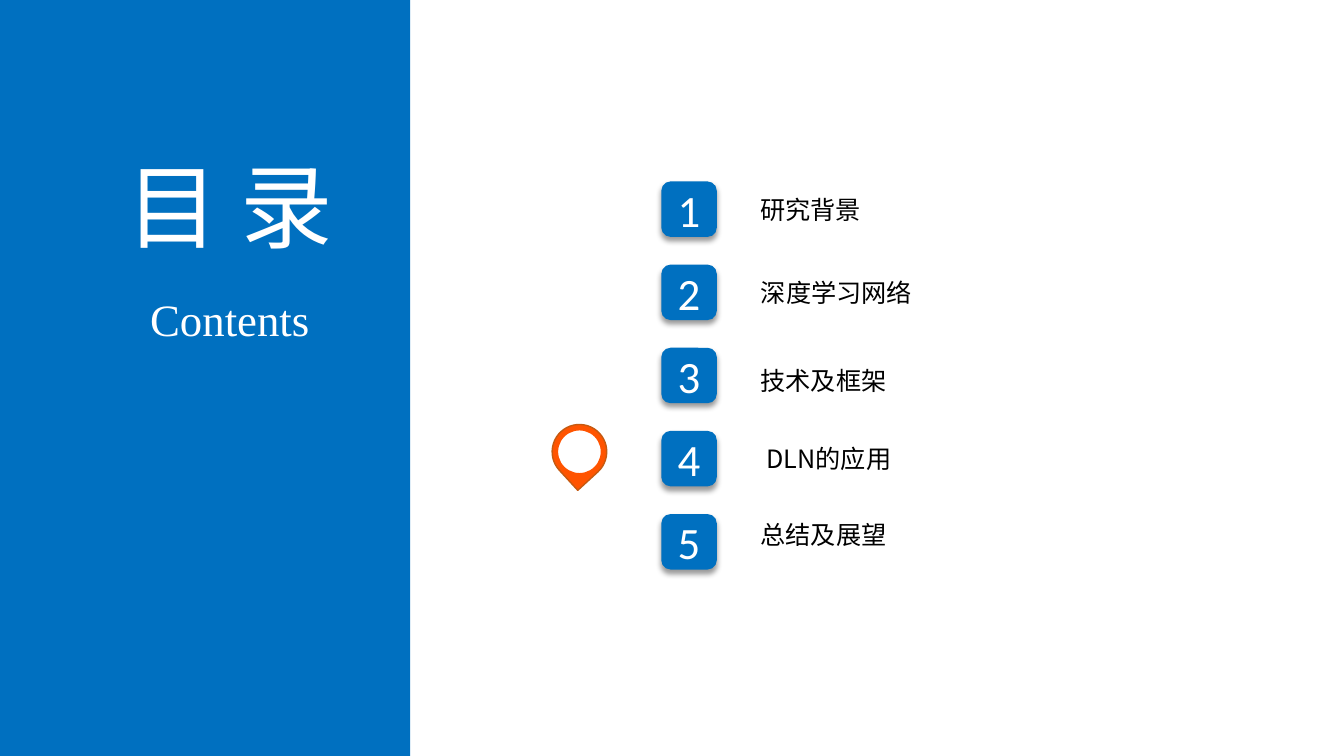
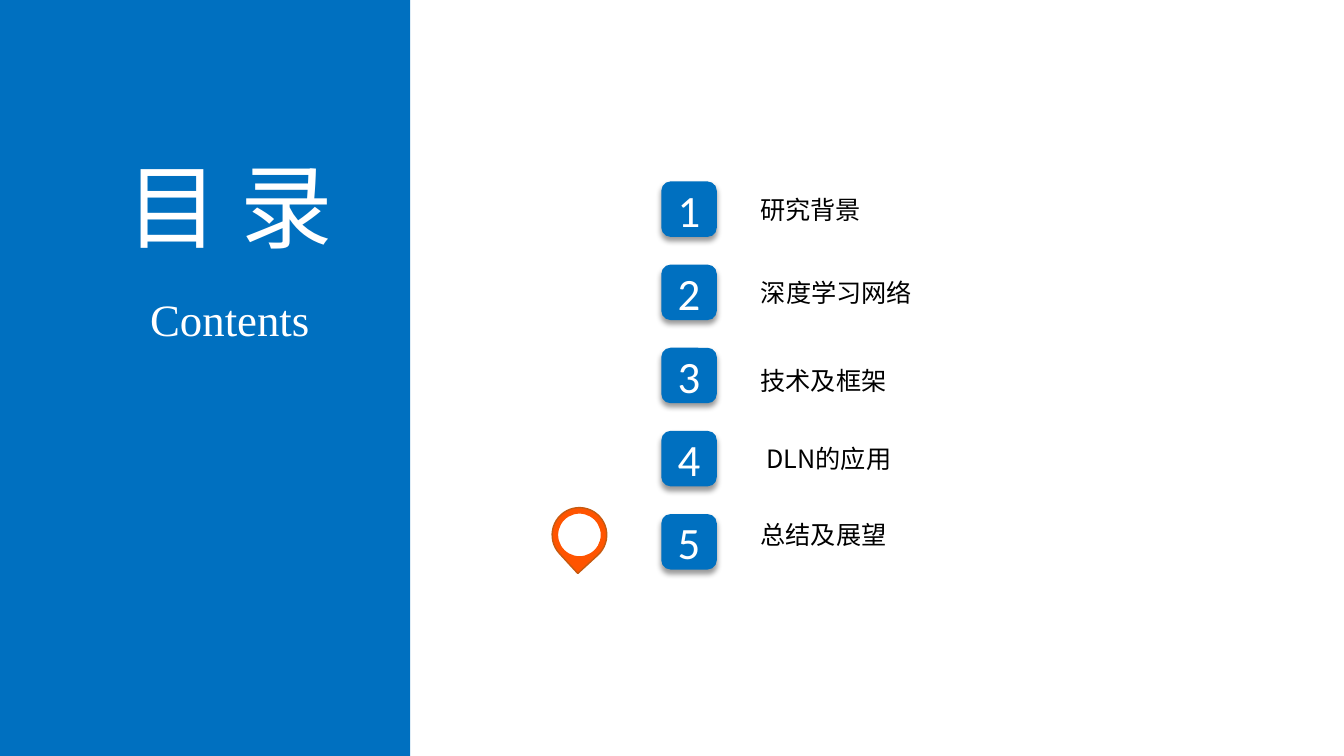
"""Build two contents pages, each with a pin beside the current section."""
from dataclasses import dataclass

from lxml.etree import SubElement
from pptx import Presentation
from pptx.dml.color import RGBColor as Color
from pptx.enum.shapes import MSO_SHAPE as Shape
from pptx.enum.text import MSO_ANCHOR as Anchor, MSO_AUTO_SIZE as AutoSize, PP_ALIGN as Align
from pptx.oxml.ns import qn
from pptx.util import Pt


@dataclass(frozen=True)
class Theme:
    """Colours, fonts and type sizes shared by the pages."""
    blue: str = "0070C0"
    orange: str = "FF5400"
    rust: str = "C55A11"
    white: str = "FFFFFF"
    black: str = "000000"
    chinese: str = "Noto Sans CJK SC"
    digits: str = "Calibri"
    serif: str = "Times New Roman"
    title_size: int = 66
    large_size: int = 32
    label_size: int = 18


THEME = Theme()
PAGE_WIDTH, PAGE_HEIGHT = 960, 540
BAND_WIDTH = 293
BADGE_LEFT, BADGE_TOP, BADGE_SIZE, BADGE_STEP = 472.4, 129.6, 39.6, 59.4
LABEL_LEFT, LABEL_HEIGHT = 535.8, 29
PIN_LEFT, PIN_RISE, PIN_SIZE, PIN_HOLE = 394.4, 4.6, 39, 31.4
SECTIONS = [
    ("研究背景", 135.2, 86.4),
    ("深度学习网络", 194.6, 123.6),
    ("技术及框架", 257.2, 105),
    ("DLN的应用", 313.2, 112.4),
    ("总结及展望", 367.4, 105),
]


def add_span(para, text, font, size, color):
    """Add one centred run in the given type style."""
    para.alignment = Align.CENTER
    span = para.add_run()
    span.text = text
    span.font.name = font
    span.font.size = Pt(size)
    span.font.color.rgb = Color.from_string(color)
    SubElement(span.font._element, qn("a:ea"), typeface=font)


def add_text(page, frame, text, font, size, color):
    """Add a one-line text box that fits its text."""
    box = page.shapes.add_textbox(*map(Pt, frame))
    box.text_frame.word_wrap = False
    box.text_frame.auto_size = AutoSize.SHAPE_TO_FIT_TEXT
    add_span(box.text_frame.paragraphs[0], text, font, size, color)


def add_form(parent, kind, frame, fill, line=None):
    """Add a flat preset shape with an optional outline."""
    form = parent.shapes.add_shape(kind, *map(Pt, frame))
    form.fill.solid()
    form.fill.fore_color.rgb = Color.from_string(fill)
    if line:
        form.line.color.rgb = Color.from_string(line)
        form.line.width = Pt(1)
    else:
        form.line.fill.background()
    form.shadow.inherit = False
    return form


def add_drop_shadow(form):
    """Put a soft shadow below a shape."""
    effects = form._element.spPr.find(qn("a:effectLst"))
    shadow = SubElement(effects, qn("a:outerShdw"), blurRad=str(Pt(4)), dist=str(Pt(3)),
                        dir="5400000", algn="t", rotWithShape="0")
    color = SubElement(shadow, qn("a:srgbClr"), val=THEME.black)
    SubElement(color, qn("a:alpha"), val="40000")


def badge_top(index):
    """Return the top of the badge in a given row."""
    return BADGE_TOP + index * BADGE_STEP


def add_badge(page, index):
    """Add the numbered badge of a section."""
    frame = (BADGE_LEFT, badge_top(index), BADGE_SIZE, BADGE_SIZE)
    badge = add_form(page, Shape.ROUNDED_RECTANGLE, frame, THEME.blue)
    add_drop_shadow(badge)
    badge.text_frame.vertical_anchor = Anchor.MIDDLE
    add_span(badge.text_frame.paragraphs[0], str(index + 1),
             THEME.digits, THEME.large_size, THEME.white)


def add_title_band(page):
    """Add the blue side band with its two titles."""
    add_form(page, Shape.RECTANGLE, (0, 0, BAND_WIDTH, PAGE_HEIGHT), THEME.blue)
    add_text(page, (73.4, 103, 181.4, 87), "目 录", THEME.chinese, THEME.title_size, THEME.white)
    add_text(page, (99.4, 204.5, 129.6, 46), "Contents",
             THEME.serif, THEME.large_size, THEME.white)


def add_pin(page, index):
    """Add the map pin that marks the current section."""
    pin = page.shapes.add_group_shape()
    top = badge_top(index) - PIN_RISE
    drop = add_form(pin, Shape.TEAR, (PIN_LEFT, top, PIN_SIZE, PIN_SIZE),
                    THEME.orange, THEME.rust)
    drop.rotation = 137.5
    inset = (PIN_SIZE - PIN_HOLE) / 2
    add_form(pin, Shape.OVAL, (PIN_LEFT + inset, top + inset, PIN_HOLE, PIN_HOLE),
             THEME.white, THEME.orange)


def add_contents_page(deck, current):
    """Add a contents page with the pin at the current section."""
    page = deck.slides.add_slide(deck.slide_layouts[6])
    for index, (label, top, width) in enumerate(SECTIONS):
        add_badge(page, index)
        add_text(page, (LABEL_LEFT, top, width, LABEL_HEIGHT), label,
                 THEME.chinese, THEME.label_size, THEME.black)
    add_title_band(page)
    add_pin(page, current)


def main():
    """Build and save the deck."""
    deck = Presentation()
    deck.slide_width, deck.slide_height = Pt(PAGE_WIDTH), Pt(PAGE_HEIGHT)
    for current in (3, 4):
        add_contents_page(deck, current)
    deck.save("out.pptx")


if __name__ == "__main__":
    main()
